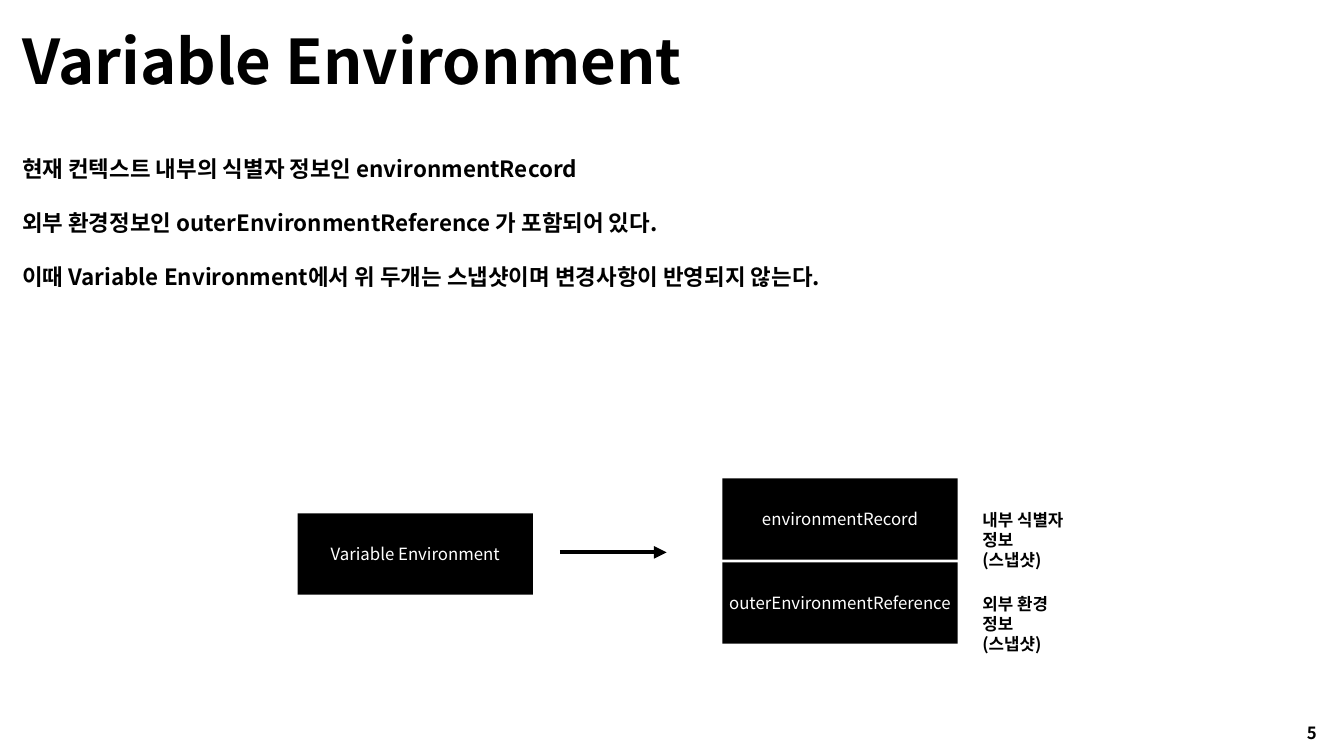
from lxml import etree
from pptx import Presentation
from pptx.dml.color import RGBColor
from pptx.enum.shapes import MSO_CONNECTOR as CONN, MSO_SHAPE as SHAPE
from pptx.enum.text import MSO_ANCHOR as ANCHOR, PP_ALIGN as ALIGN
from pptx.oxml.ns import qn
from pptx.util import Inches, Pt

FONT = "Noto Sans CJK KR"
COLORS = {"ink": "000000", "paper": "FFFFFF"}
BOX_W, BOX_H = 3.5, 1.21
RECORD_X, RECORD_Y, RECORD_STEP = 10.75, 7.12, 1.25
RECORDS = [
    ("environmentRecord", "내부 식별자 정보", 1.84),
    ("outerEnvironmentReference", "외부 환경 정보", 1.62),
]
BODY = [
    "현재 컨텍스트 내부의 식별자 정보인 environmentRecord",
    "외부 환경정보인 outerEnvironmentReference 가 포함되어 있다.",
    "이때 Variable Environment에서 위 두개는 스냅샷이며 변경사항이 반영되지 않는다.",
]


def rgb(name):
    return RGBColor.from_string(COLORS[name])


def place(sp, x, y, w, h):
    sp.left, sp.top, sp.width, sp.height = map(Inches, (x, y, w, h))


def write(sp, *lines, size=18, color="ink", bold=True, align=ALIGN.LEFT,
          anchor=ANCHOR.TOP, gap=0, margin=0.1, wrap=True):
    """Fill a shape with one paragraph per line, gap points apart."""
    tf = sp.text_frame
    tf.word_wrap = wrap
    tf.vertical_anchor = anchor
    tf.margin_left = tf.margin_right = Inches(margin)
    tf.margin_top = tf.margin_bottom = Inches(0.05)
    for i, line in enumerate(lines):
        p = tf.add_paragraph() if i else tf.paragraphs[0]
        p.alignment = align
        p.space_before = Pt(gap if i else 0)
        r = p.add_run()
        r.text = line
        r.font.name, r.font.size, r.font.bold = FONT, Pt(size), bold
        r.font.color.rgb = rgb(color)


def add_text(slide, x, y, w, h, *lines, **fmt):
    sp = slide.shapes.add_textbox(*map(Inches, (x, y, w, h)))
    write(sp, *lines, **fmt)


def add_box(slide, x, y, label):
    sp = slide.shapes.add_shape(SHAPE.RECTANGLE, *map(Inches, (x, y, BOX_W, BOX_H)))
    sp.shadow.inherit = False
    sp.fill.solid()
    sp.fill.fore_color.rgb = rgb("ink")
    sp.line.fill.background()
    write(sp, label, color="paper", bold=False, align=ALIGN.CENTER,
          anchor=ANCHOR.MIDDLE, margin=0.05)


def add_arrow(slide, x1, x2, y):
    line = slide.shapes.add_connector(CONN.STRAIGHT, *map(Inches, (x1, y, x2, y)))
    line.line.color.rgb = rgb("ink")
    line.line.width = Pt(4.5)
    etree.SubElement(line.line._get_or_add_ln(), qn("a:tailEnd"), type="triangle")
    etree.SubElement(line._element.spPr, qn("a:effectLst"))


def main():
    prs = Presentation()
    prs.slide_width, prs.slide_height = Inches(20), Inches(11.25)
    slide = prs.slides.add_slide(prs.slide_layouts[5])

    title = slide.shapes.title
    place(title, 0.23, 0.29, 12.6, 1.21)
    write(title, "Variable Environment", size=66)
    add_text(slide, 0.23, 2.26, 12.02, 2.12, *BODY, size=24, gap=29)

    add_box(slide, 4.43, 7.64, "Variable Environment")
    add_arrow(slide, 8.33, 9.92, 8.22)
    for i, (record, meaning, width) in enumerate(RECORDS):
        y = RECORD_Y + i * RECORD_STEP
        add_box(slide, RECORD_X, y, record)
        add_text(slide, 14.52, y + 0.41, width, 0.71, meaning, "(스냅샷)")

    add_text(slide, 19.35, 10.71, 0.37, 0.4, "5", wrap=False)
    prs.save("out.pptx")


if __name__ == "__main__":
    main()
